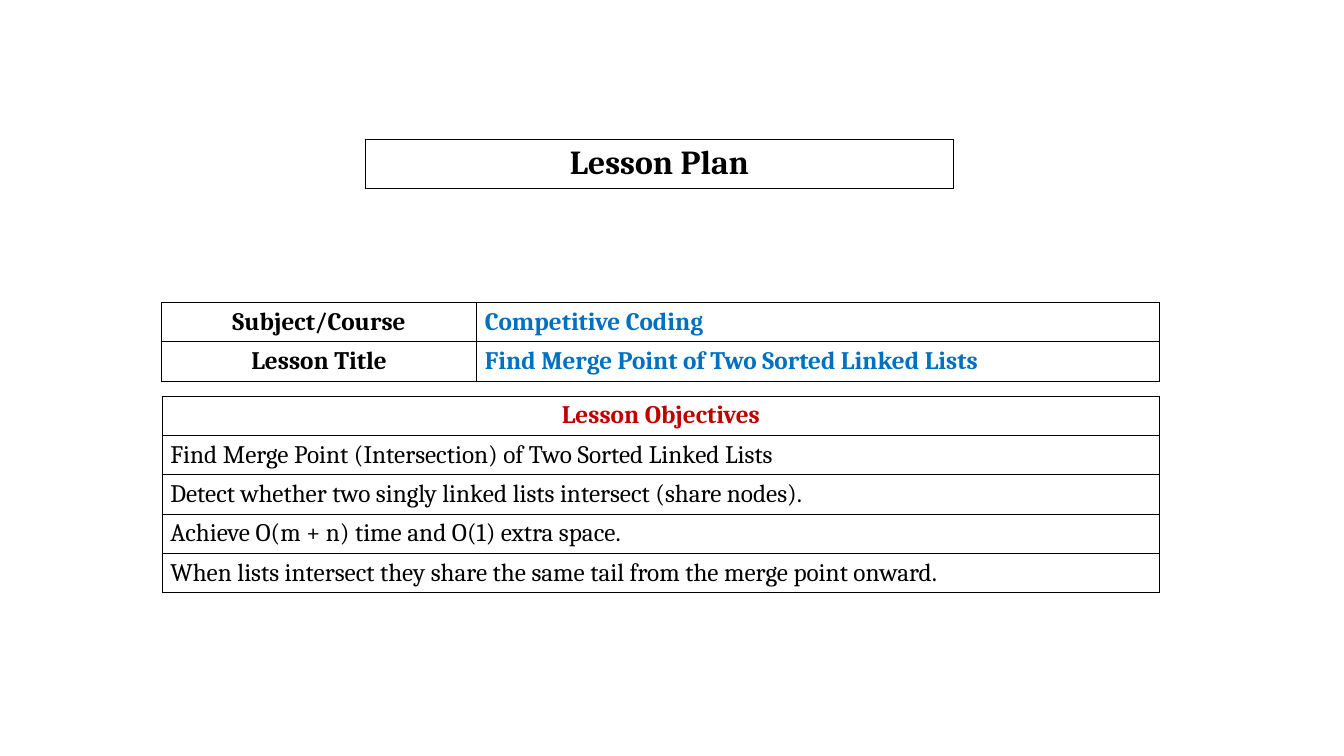
from dataclasses import dataclass

from lxml.etree import SubElement
from pptx import Presentation
from pptx.dml.color import RGBColor
from pptx.enum.text import MSO_ANCHOR, PP_ALIGN
from pptx.oxml.ns import qn
from pptx.slide import Slide
from pptx.table import _Cell
from pptx.text.text import TextFrame
from pptx.util import Emu, Pt

EMU_PER_PX = 9144
FONT = "Cambria"
BLACK, WHITE, BLUE, RED = "000000", "FFFFFF", "0070C0", "C00000"
BORDER_WIDTH = Pt(0.75)
INSET_X, INSET_Y = 8, 5


@dataclass(frozen=True)
class Entry:
    text: str
    color: str = BLACK
    bold: bool = False
    centered: bool = False


@dataclass(frozen=True)
class Grid:
    left: int
    top: int
    columns: list[int]
    rows: list[list[Entry]]
    row_height: int = 39
    size: int = 18


GRIDS = [
    Grid(362, 138, [584], [[Entry("Lesson Plan", bold=True, centered=True)]],
         row_height=49, size=24),
    Grid(160, 300, [313, 677], [
        [Entry("Subject/Course", bold=True, centered=True),
         Entry("Competitive Coding", BLUE, bold=True)],
        [Entry("Lesson Title", bold=True, centered=True),
         Entry("Find Merge Point of Two Sorted Linked Lists", BLUE, bold=True)],
    ]),
    Grid(161, 393, [989], [
        [Entry("Lesson Objectives", RED, bold=True, centered=True)],
        [Entry("Find Merge Point (Intersection) of Two Sorted Linked Lists")],
        [Entry("Detect whether two singly linked lists intersect (share nodes).")],
        [Entry("Achieve O(m + n) time and O(1) extra space.")],
        [Entry("When lists intersect they share the same tail from the merge point onward.")],
    ]),
]


def px(length: int) -> Emu:
    return Emu(length * EMU_PER_PX)


def rgb(color: str) -> RGBColor:
    return RGBColor.from_string(color)


def write(frame: TextFrame, text: str, *, size: int, color: str = BLACK,
          bold: bool = False, centered: bool = False) -> None:
    para = frame.paragraphs[0]
    para.alignment = PP_ALIGN.CENTER if centered else PP_ALIGN.LEFT
    span = para.add_run()
    span.text = text
    font = span.font
    font.name, font.size, font.bold = FONT, Pt(size), bold
    font.color.rgb = rgb(color)


def format_cell(cell: _Cell) -> None:
    cell.fill.solid()
    cell.fill.fore_color.rgb = rgb(WHITE)
    cell.margin_left = cell.margin_right = px(INSET_X)
    cell.margin_top = cell.margin_bottom = px(INSET_Y)
    cell.vertical_anchor = MSO_ANCHOR.MIDDLE
    properties = cell._tc.get_or_add_tcPr()
    for index, side in enumerate(("lnL", "lnR", "lnT", "lnB")):
        line = properties.makeelement(qn(f"a:{side}"), {"w": str(BORDER_WIDTH)})
        fill = SubElement(line, qn("a:solidFill"))
        SubElement(fill, qn("a:srgbClr"), val=BLACK)
        properties.insert(index, line)


def add_grid(page: Slide, grid: Grid) -> None:
    table = page.shapes.add_table(
        len(grid.rows), len(grid.columns), px(grid.left), px(grid.top),
        px(sum(grid.columns)), px(grid.row_height * len(grid.rows))).table
    table.first_row = table.horz_banding = False
    for column, width in zip(table.columns, grid.columns):
        column.width = px(width)
    for row, entries in zip(table.rows, grid.rows):
        for cell, entry in zip(row.cells, entries):
            format_cell(cell)
            write(cell.text_frame, entry.text, size=grid.size, color=entry.color,
                  bold=entry.bold, centered=entry.centered)


def main() -> None:
    deck = Presentation()
    deck.slide_width, deck.slide_height = px(1333), px(750)
    page = deck.slides.add_slide(deck.slide_layouts.get_by_name("Blank"))
    for grid in GRIDS:
        add_grid(page, grid)
    deck.save("out.pptx")


if __name__ == "__main__":
    main()
